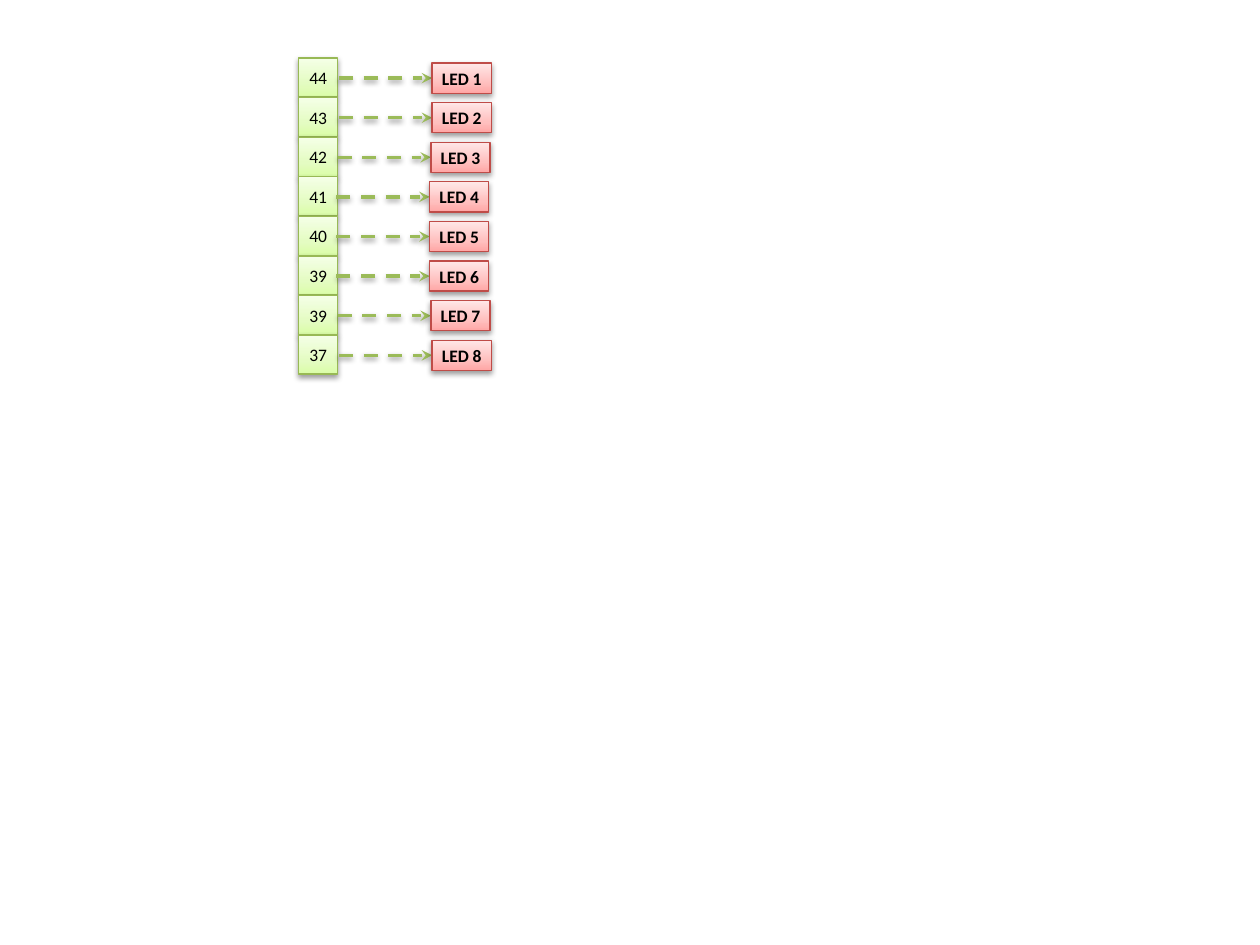
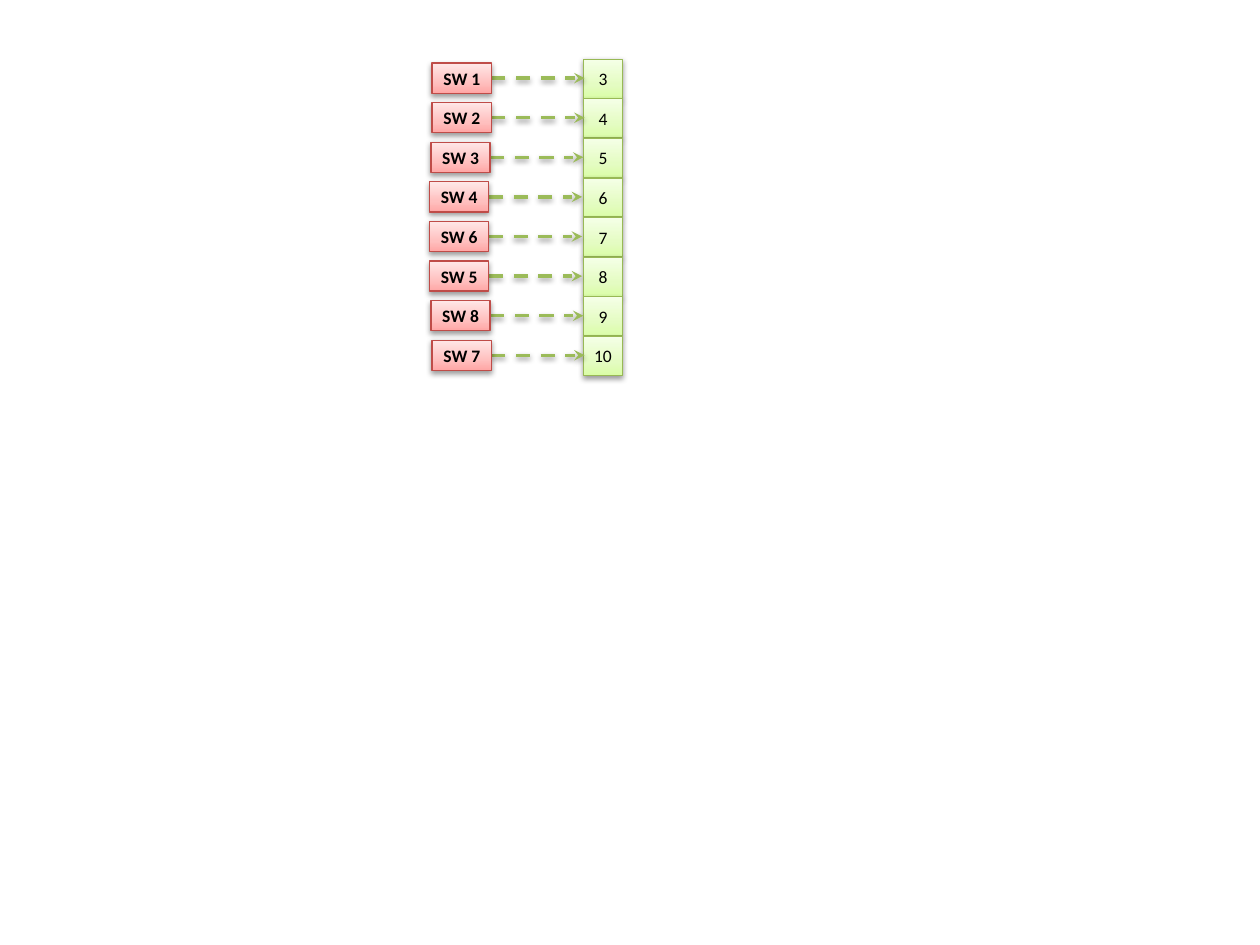
"""Build two wiring slides: pins to LEDs and switches to pins."""
from copy import deepcopy

from pptx import Presentation
from pptx.dml.color import RGBColor
from pptx.enum.dml import MSO_LINE_DASH_STYLE as DASH
from pptx.enum.shapes import MSO_CONNECTOR as CONNECTOR, MSO_SHAPE as SHAPE
from pptx.enum.text import MSO_ANCHOR as ANCHOR, PP_ALIGN as ALIGN
from pptx.oxml import parse_xml
from pptx.oxml.ns import nsdecls, qn
from pptx.util import Inches, Pt

BLACK = RGBColor(0x00, 0x00, 0x00)
ARROW_GREEN = RGBColor(0x9B, 0xBB, 0x59)
PIN_LINE = RGBColor(0x98, 0xB9, 0x55)
PIN_FILL = (RGBColor(0xDA, 0xFD, 0xA7), RGBColor(0xE4, 0xFC, 0xC2), RGBColor(0xF5, 0xFF, 0xE7))
PART_LINE = RGBColor(0xBF, 0x4C, 0x48)
PART_FILL = (RGBColor(0xFF, 0xA6, 0xA5), RGBColor(0xFF, 0xC0, 0xBF), RGBColor(0xFF, 0xE7, 0xE7))
STOP_POSITIONS = (0, 0.35, 1)

ROW_PITCH = 2.2 / 7
PIN_SIZE = 0.31
PART_WIDTH, PART_HEIGHT, PART_TOP = 0.47, 0.24, 0.5
PART_LEFTS = (3.43, 3.43, 3.42, 3.41, 3.41, 3.41, 3.42, 3.43)
ARROW_LENGTH = 0.74

SHADOW = (
    f'<a:effectLst {nsdecls("a")}><a:outerShdw blurRad="40000" dist="20000" dir="5400000" '
    'rotWithShape="0"><a:srgbClr val="000000"><a:alpha val="38000"/></a:srgbClr>'
    '</a:outerShdw></a:effectLst>'
)


class WiringDeck:
    """Hold the shared style and the current slide."""

    def __init__(self):
        self.presentation = Presentation()
        self.presentation.slide_width = Inches(10)
        self.presentation.slide_height = Inches(7.5)
        self.slide = None

    def add_slide(self):
        self.slide = self.presentation.slides.add_slide(self.presentation.slide_layouts[6])

    def add_shadow(self, shape):
        shape._element.spPr.append(parse_xml(SHADOW))

    def add_box(self, text, left, top, width, height, colors, line_color, bold=False):
        shape = self.slide.shapes.add_shape(
            SHAPE.RECTANGLE, Inches(left), Inches(top), Inches(width), Inches(height))
        shape.fill.gradient()
        shape.fill.gradient_angle = 90
        stop_list = shape._element.spPr.find(".//" + qn("a:gsLst"))
        stop_list.append(deepcopy(stop_list[-1]))
        for stop, color, position in zip(shape.fill.gradient_stops, colors, STOP_POSITIONS):
            stop.color.rgb = color
            stop.position = position
        shape.line.color.rgb = line_color
        shape.line.width = Pt(0.75)
        self.add_shadow(shape)

        frame = shape.text_frame
        frame.word_wrap = True
        frame.vertical_anchor = ANCHOR.MIDDLE
        frame.margin_left = frame.margin_right = Inches(0.04)
        frame.margin_top = frame.margin_bottom = Inches(0.04)
        paragraph = frame.paragraphs[0]
        paragraph.text = text
        paragraph.alignment = ALIGN.CENTER
        font = paragraph.font
        font.name, font.size, font.bold = "Calibri", Pt(10), bold
        font.color.rgb = BLACK

    def add_arrow(self, left, y):
        connector = self.slide.shapes.add_connector(
            CONNECTOR.STRAIGHT, Inches(left), Inches(y), Inches(left + ARROW_LENGTH), Inches(y))
        connector.line.color.rgb = ARROW_GREEN
        connector.line.width = Pt(2)
        connector.line.dash_style = DASH.DASH
        connector.line._ln.append(parse_xml(f'<a:tailEnd {nsdecls("a")} type="stealth"/>'))
        self.add_shadow(connector)

    def add_pins(self, pins, left, top):
        for row, pin in enumerate(pins):
            self.add_box(str(pin), left, top + row * ROW_PITCH, PIN_SIZE, PIN_SIZE,
                         PIN_FILL, PIN_LINE)

    def add_parts(self, prefix, numbers, arrow_offset):
        for row, (number, left) in enumerate(zip(numbers, PART_LEFTS)):
            top = PART_TOP + row * ROW_PITCH
            self.add_arrow(left + arrow_offset, top + PART_HEIGHT / 2)
            self.add_box(f"{prefix} {number}", left, top, PART_WIDTH, PART_HEIGHT,
                         PART_FILL, PART_LINE, bold=True)


deck = WiringDeck()

deck.add_slide()
deck.add_pins((44, 43, 42, 41, 40, 39, 39, 37), 2.37, 0.46)
deck.add_parts("LED", range(1, 9), -ARROW_LENGTH)

deck.add_slide()
deck.add_pins(range(3, 11), 4.63, 0.47)
deck.add_parts("SW", (1, 2, 3, 4, 6, 5, 8, 7), PART_WIDTH)

deck.presentation.save("out.pptx")
